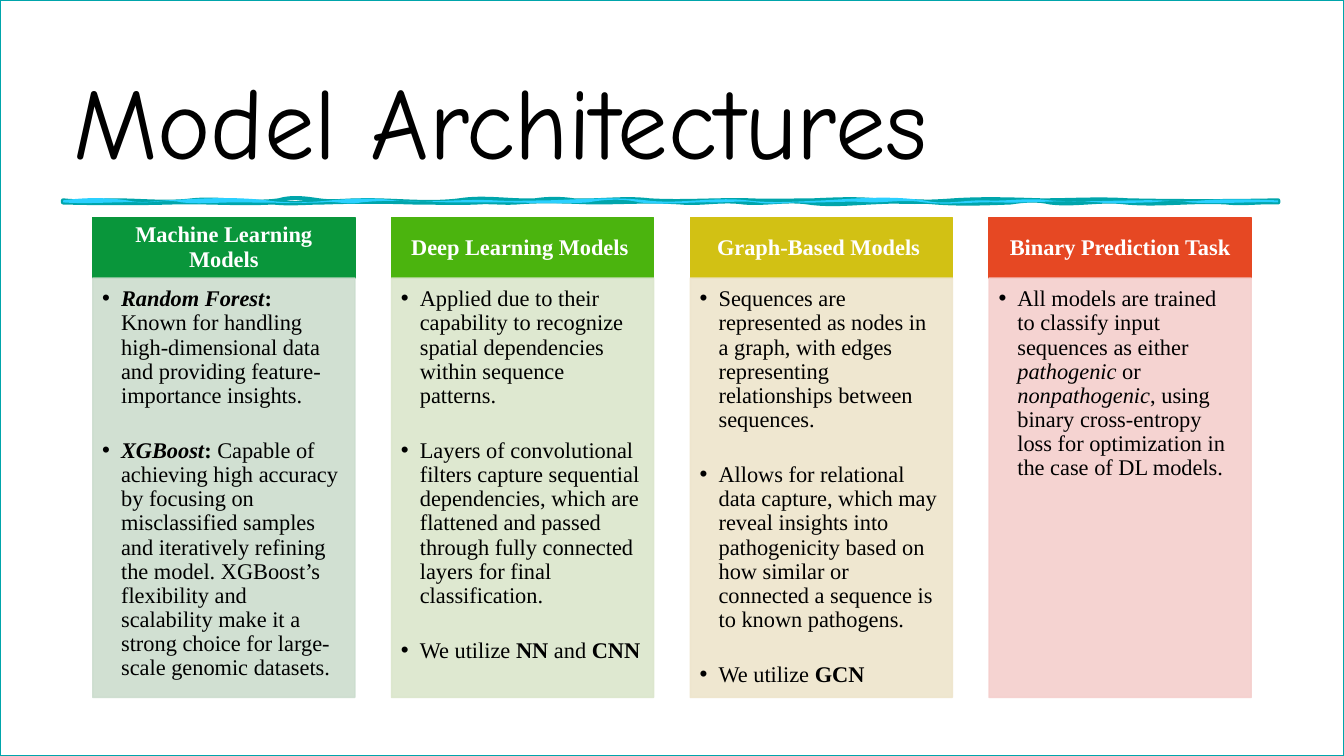
from dataclasses import dataclass

from lxml.etree import SubElement
from pptx import Presentation
from pptx.dml.color import RGBColor
from pptx.enum.shapes import MSO_SHAPE
from pptx.enum.text import MSO_ANCHOR, MSO_AUTO_SIZE, PP_ALIGN
from pptx.oxml.ns import qn
from pptx.util import Pt


@dataclass(frozen=True)
class Theme:
    paper: str = "FFFFFF"
    ink: str = "000000"
    teal: str = "00A5AB"
    sky: str = "2BD0FF"
    title_font: str = "Comic Neue"
    text_font: str = "Times New Roman"
    title_size: int = 72
    text_size: int = 16


# Brush strokes: each edge is a chain of (end x, first bend, second bend)
STROKE_TOP = [
    (82, 1.4, 0), (137, 0, 2.2), (199, -2.2, 2.9), (228, -2.9, -1.4), (256, 1.4, 0),
    (328, -0.7, 2.9), (382, -2.9, 0.7), (410, -1.4, -1.4), (464, 0.7, -2.2),
    (536, 1.4, -0.7), (581, 0.7, 0), (626, -0.7, -1.4), (681, 1.4, 1.4),
    (744, -1.4, -0.7), (806, 0, -1.4), (913, 0.7, 0.7)]
STROKE_BOTTOM = [
    (876, -0.7, 1.4), (804, -1.4, 2.2), (750, -2.2, 2.2), (722, -2.2, -1.4),
    (668, 0.7, 1.4), (622, -1.4, -0.7), (577, 0.7, 2.2), (531, -2.2, 1.4),
    (486, -2.2, 1.4), (423, -1.4, 0), (369, -0.7, -1.4), (341, 0.7, -0.7),
    (294, 0.7, 0), (232, -0.7, -0.7), (195, 0, 1.4), (123, 1.4, -0.7), (45, 0.7, 0.7)]
FILL_TOP = [
    (91, -2.2, -2.2), (119, 2.2, 0.7), (191, -1.4, -2.9), (236, 2.2, 1.4),
    (282, -1.4, -2.2), (354, 2.2, -1.4), (390, 0.7, 0), (462, -0.7, -2.9),
    (534, 2.9, -2.9), (588, 2.2, 0.7), (660, -1.4, -3.6), (705, 3.6, -0.7),
    (750, 0.7, -2.2), (813, 1.4, 0), (859, -0.7, 1.4), (913, -1.4, -0.7)]
FILL_BOTTOM = [
    (850, -0.7, 1.4), (822, -2.2, -0.7), (785, 0, 1.4), (714, -2.2, 0.7),
    (660, -0.7, 2.2), (622, -2.2, 0), (568, -1.4, 0.7), (540, 0.7, 1.4),
    (512, -1.4, 0), (457, -0.7, 2.2), (420, -2.9, -2.2), (358, 1.4, 0), (321, 0, 0),
    (258, -0.7, -2.2), (230, 2.2, -1.4), (167, 0.7, 0), (130, 0, 1.4),
    (102, -2.2, 0), (45, -0.7, 1.4)]

# Columns: heading, heading colour, panel colour, bullets made of (text, style) runs
COLUMNS = [
    ("Machine Learning Models", "09963B", "CCDDCE", [
        [("Random Forest", "bi"), (":", "b"),
         (" Known for handling high-dimensional data and providing "
          "feature-importance insights.", "")],
        [("XGBoost", "bi"), (": ", "b"),
         ("Capable of achieving high accuracy by focusing on misclassified samples "
          "and iteratively refining the model. XGBoost’s flexibility and scalability "
          "make it a strong choice for large-scale genomic datasets.", "")]]),
    ("Deep Learning Models ", "4BB40E", "DBE6CB", [
        [("Applied due to their capability to recognize spatial dependencies "
          "within sequence patterns.", "")],
        [("Layers of convolutional filters capture sequential dependencies, which are "
          "flattened and passed through fully connected layers for final "
          "classification.", "")],
        [("We utilize ", ""), ("NN", "b"), (" and ", ""), ("CNN", "b")]]),
    ("Graph-Based Models ", "D2C114", "EEE5CB", [
        [("Sequences are represented as nodes in a graph, with edges representing "
          "relationships between sequences.", "")],
        [("Allows for relational data capture, which may reveal insights into "
          "pathogenicity based on how similar or connected a sequence is to known "
          "pathogens.", "")],
        [("We utilize ", ""), ("GCN", "b")]]),
    ("Binary Prediction Task", "E64823", "F5CFCD", [
        [("All models are trained to classify input sequences as either ", ""),
         ("pathogenic", "i"), (" or ", ""), ("nonpathogenic", "i"),
         (", using binary cross-entropy loss for optimization in the case of "
          "DL models.", "")]]),
]


class SlideBuilder:
    def __init__(self, slide, theme):
        self.slide, self.theme = slide, theme

    def place(self, shape, left, top, width, height):
        shape.left, shape.top = Pt(left), Pt(top)
        shape.width, shape.height = Pt(width), Pt(height)

    def paint(self, shape, fill, line, weight=1, opacity=100):
        for paint, color in ((shape.fill, fill), (shape.line.fill, line)):
            paint.solid()
            paint.fore_color.rgb = RGBColor.from_string(color)
        shape.line.width = Pt(weight)
        if opacity < 100:
            for color in shape.element.spPr.iter(qn("a:srgbClr")):
                SubElement(color, qn("a:alpha"), val=str(opacity * 1000))

    def frame_text(self, shape, anchor, insets):
        frame = shape.text_frame
        frame.word_wrap = True
        frame.auto_size = MSO_AUTO_SIZE.NONE
        frame.vertical_anchor = anchor
        (frame.margin_left, frame.margin_top,
         frame.margin_right, frame.margin_bottom) = map(Pt, insets)
        return frame

    def style(self, paragraph, font, size, color, align=PP_ALIGN.LEFT):
        paragraph.alignment = align
        paragraph.line_spacing = 0.9
        paragraph.space_before = Pt(0)
        paragraph.font.name, paragraph.font.size = font, Pt(size)
        paragraph.font.color.rgb = RGBColor.from_string(color)

    def border(self, width, height):
        border = self.slide.shapes.add_shape(MSO_SHAPE.RECTANGLE, 0, 0, Pt(width), Pt(height))
        border.shadow.inherit = False
        self.paint(border, self.theme.paper, self.theme.teal)
        border.element.getparent().insert(2, border.element)  # behind the placeholders

    def title(self, text, *box):
        title = self.slide.shapes.title
        self.place(title, *box)
        frame = self.frame_text(title, MSO_ANCHOR.BOTTOM, (7.2, 3.6, 7.2, 3.6))
        frame.text = text
        self.style(frame.paragraphs[0], self.theme.title_font,
                   self.theme.title_size, self.theme.ink)

    def contour(self, top_edge, bottom_edge, left, top, thickness):
        points, x = [(Pt(left), Pt(top))], left
        for edge, y in ((top_edge, top), (bottom_edge, top + thickness)):
            if edge is bottom_edge:
                points += [(Pt(x), Pt(y))] * 3
            for end, bend_in, bend_out in edge:
                third = (end - x) / 3
                points += [(Pt(x + third), Pt(y + bend_in)),
                           (Pt(end - third), Pt(y + bend_out)), (Pt(end), Pt(y))]
                x = end
        return points

    def brush(self, left, top, thickness):
        stroke = self.contour(STROKE_TOP, STROKE_BOTTOM, left, top, thickness)
        filling = self.contour(FILL_TOP, FILL_BOTTOM, left, top, thickness)
        outline = self.slide.shapes.build_freeform(*stroke[0], scale=1.0)
        outline.add_line_segments(stroke[1:], close=True)
        outline.move_to(*filling[0])
        outline.add_line_segments(filling[1:], close=True)
        rule = outline.convert_to_shape()
        rule.shadow.inherit = False
        self.paint(rule, self.theme.sky, self.theme.teal, weight=3)
        self.bend(rule)

    def bend(self, rule):
        """Turn each three points into one curve: a stroked path, then a filled one."""
        drawn = rule.element.spPr.find(".//" + qn("a:path"))
        paths = drawn.getparent()
        paths.remove(drawn)
        size = {"w": drawn.get("w"), "h": drawn.get("h")}
        modes = iter(({"fill": "none"}, {"stroke": "0"}))
        for step in list(drawn):
            if step.tag == qn("a:moveTo"):
                current, curve = SubElement(paths, qn("a:path"), **size, **next(modes)), None
            if step.tag != qn("a:lnTo"):
                current.append(step)
                continue
            if curve is None or len(curve) == 3:
                curve = SubElement(current, qn("a:cubicBezTo"))
            curve.append(step[0])

    def heading(self, text, color, *box):
        heading = self.slide.shapes.add_shape(MSO_SHAPE.RECTANGLE, *map(Pt, box))
        heading.shadow.inherit = False
        self.paint(heading, color, color)
        frame = self.frame_text(heading, MSO_ANCHOR.MIDDLE, (8.96, 5.12, 8.96, 5.12))
        frame.text = text
        label = frame.paragraphs[0]
        self.style(label, self.theme.text_font, self.theme.text_size,
                   self.theme.paper, PP_ALIGN.CENTER)
        label.font.bold = True

    def bullets(self, panel, items, color, *box):
        self.place(panel, *box)
        panel.element.getparent().append(panel.element)  # in front of its heading
        self.paint(panel, color, color, opacity=90)
        frame = self.frame_text(panel, MSO_ANCHOR.TOP, (6.72, 6.72, 8.96, 10.08))
        for number, runs in enumerate(items):
            item = frame.add_paragraph() if number else frame.paragraphs[0]
            properties = item._p.get_or_add_pPr()
            properties.set("marL", str(Pt(13.5)))
            properties.set("indent", str(-Pt(13.5)))
            SubElement(properties, qn("a:buFont"), typeface="Arial")
            SubElement(properties, qn("a:buChar"), char="•")
            self.style(item, self.theme.text_font, self.theme.text_size, self.theme.ink)
            item.space_after = Pt(22 if number < len(items) - 1 else 0)
            for text, emphasis in runs:
                run = item.add_run()
                run.text = text
                run.font.bold = "b" in emphasis
                run.font.italic = "i" in emphasis


def main():
    deck = Presentation()
    deck.slide_width, deck.slide_height = Pt(960), Pt(540)
    # The comparison layout offers a title and four text placeholders
    slide = deck.slides.add_slide(deck.slide_layouts[4])
    builder = SlideBuilder(slide, Theme())

    # Frame, title and brush rule
    builder.border(960, 540)
    builder.title("Model Architectures", 45, 20, 868, 113)
    builder.brush(45, 143.2, 1.4)

    # Four columns
    panels = [slide.placeholders[index] for index in range(1, 5)]
    left, pitch, width = 66.3, 213.4, 187.2
    for number, (panel, column) in enumerate(zip(panels, COLUMNS)):
        name, strong, pale, items = column
        x = left + number * pitch
        builder.heading(name, strong, x, 155.5, width, 43)
        builder.bullets(panel, items, pale, x, 198.6, width, 299.6)

    deck.save("out.pptx")


if __name__ == "__main__":
    main()
